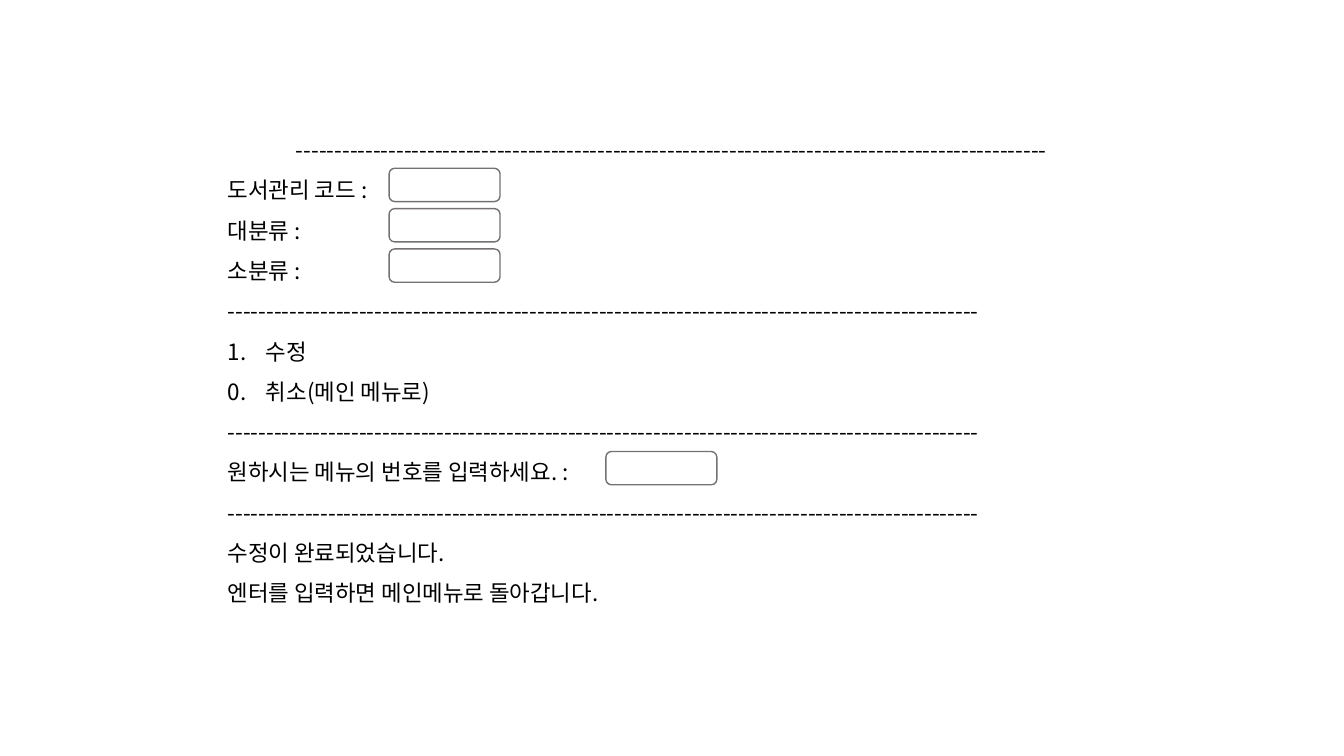
"""Build the console screen slide for editing a book management code."""
from dataclasses import dataclass

from lxml.etree import SubElement
from pptx import Presentation
from pptx.dml.color import RGBColor
from pptx.enum.shapes import MSO_SHAPE
from pptx.enum.text import MSO_AUTO_SIZE, PP_ALIGN
from pptx.oxml.ns import qn
from pptx.slide import Slide
from pptx.util import Inches, Pt


@dataclass(frozen=True)
class Theme:
    font: str = "Noto Sans CJK KR"
    size: Pt = Pt(16)
    text: RGBColor = RGBColor(0, 0, 0)
    outline: RGBColor = RGBColor(0x76, 0x71, 0x71)


@dataclass(frozen=True)
class ScreenLine:
    text: str
    align: PP_ALIGN = PP_ALIGN.LEFT
    hanging: bool = False
    numbered: bool = False


@dataclass(frozen=True)
class InputField:
    left: float
    top: float


THEME = Theme()
RULE = "-" * 97
HANGING_INDENT = Inches(0.38)
SCREEN_LINES = [
    ScreenLine(RULE, align=PP_ALIGN.CENTER),
    ScreenLine("도서관리 코드 :"),
    ScreenLine("대분류 :"),
    ScreenLine("소분류 :"),
    ScreenLine(RULE),
    ScreenLine("수정", hanging=True, numbered=True),
    ScreenLine("0.\t취소(메인 메뉴로)", hanging=True),
    ScreenLine(RULE),
    ScreenLine("원하시는 메뉴의 번호를 입력하세요. :"),
    ScreenLine(RULE),
    ScreenLine("수정이 완료되었습니다."),
    ScreenLine("엔터를 입력하면 메인메뉴로 돌아갑니다."),
]
CODE_FIELDS = [InputField(3.86, 1.67 + 0.4 * row) for row in range(3)]
MENU_FIELD = InputField(6.01, 4.48)


def add_screen_text(page: Slide, lines: list[ScreenLine]) -> None:
    """Write the screen lines into one text box."""
    box = page.shapes.add_textbox(Inches(2.16), Inches(1.17), Inches(9.01), Inches(4.9))
    frame = box.text_frame
    frame.word_wrap = True
    frame.auto_size = MSO_AUTO_SIZE.SHAPE_TO_FIT_TEXT
    frame.text = "\n".join(line.text for line in lines)
    for para, line in zip(frame.paragraphs, lines):
        para.alignment = line.align
        para.line_spacing = 1.5
        properties = para._p.get_or_add_pPr()
        if line.hanging:
            properties.set("marL", str(HANGING_INDENT))
            properties.set("indent", str(-HANGING_INDENT))
        if line.numbered:
            SubElement(properties, qn("a:buAutoNum"), type="arabicPeriod")
        for span in para.runs:
            span.font.size = THEME.size
            span.font.name = THEME.font
            span.font.color.rgb = THEME.text
            SubElement(span._r.get_or_add_rPr(), qn("a:ea"), typeface=THEME.font)


def add_input_field(page: Slide, field: InputField) -> None:
    """Draw one empty rounded input field."""
    box = page.shapes.add_shape(
        MSO_SHAPE.ROUNDED_RECTANGLE,
        Inches(field.left), Inches(field.top), Inches(1.1), Inches(0.33),
    )
    box.shadow.inherit = False
    box.fill.background()
    box.line.color.rgb = THEME.outline
    box.line.width = Pt(1)


def main() -> None:
    """Create the deck and save it."""
    deck = Presentation()
    deck.slide_width, deck.slide_height = Inches(13.33), Inches(7.5)
    page = deck.slides.add_slide(deck.slide_layouts.get_by_name("Blank"))
    add_screen_text(page, SCREEN_LINES)
    for field in [*CODE_FIELDS, MENU_FIELD]:
        add_input_field(page, field)
    deck.save("out.pptx")


main()
